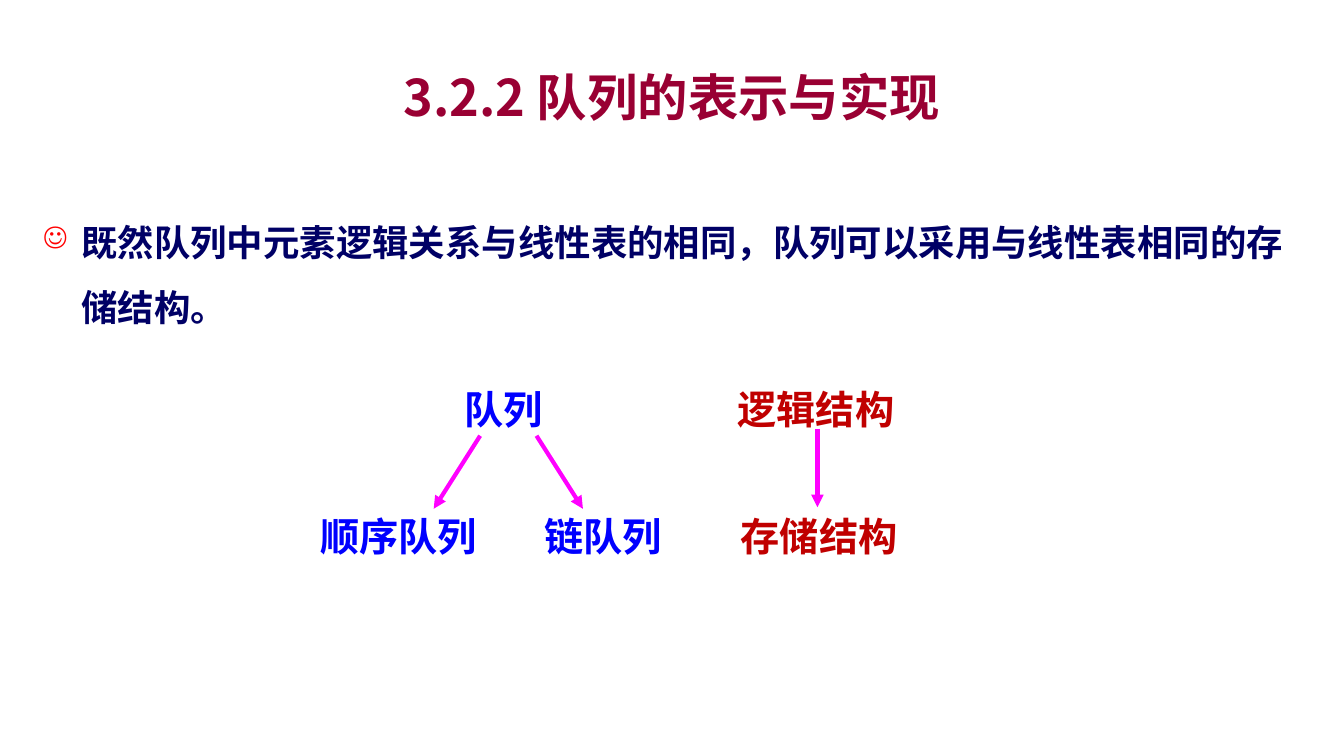
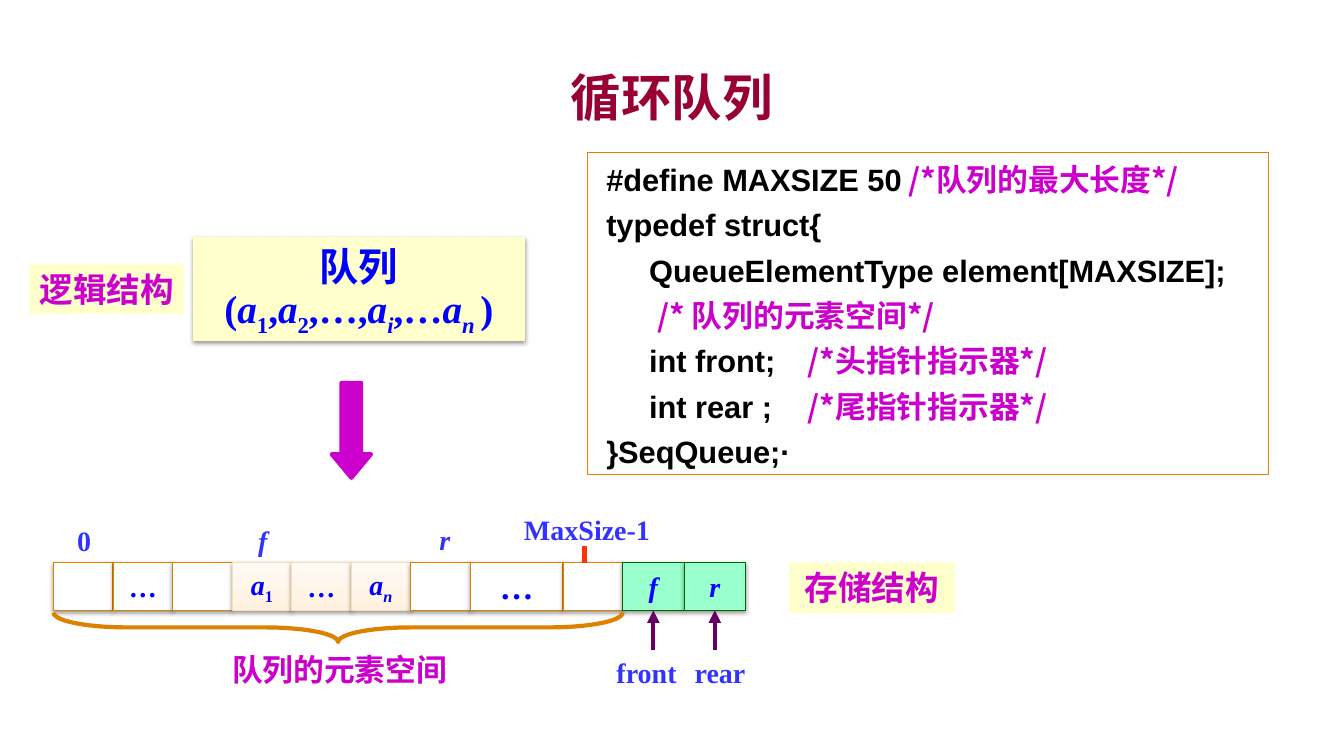
from itertools import accumulate

from lxml.etree import SubElement
from pptx import Presentation
from pptx.dml.color import RGBColor
from pptx.enum.shapes import MSO_CONNECTOR, MSO_SHAPE
from pptx.enum.text import MSO_ANCHOR, PP_ALIGN
from pptx.oxml.ns import qn
from pptx.util import Cm, Pt

COLORS = {
    "title": "990033", "body": "000066", "bullet": "FF0000", "blue": "0000FF",
    "label": "3333FF", "red": "C00000", "magenta": "FF00FF", "purple": "CC00CC",
    "black": "000000", "white": "FFFFFF", "cream": "FFFFCC", "orange": "DC8200",
    "peach": "FBDDB2", "peach_dark": "FFF1DF", "peach_light": "FFFBF6",
    "mint": "99FFCC", "green": "006600", "tick": "FF3300", "plum": "660066",
}
CJK, SERIF, SANS = "Noto Sans CJK SC", "Times New Roman", "Arial"
CENTER, LEFT = PP_ALIGN.CENTER, PP_ALIGN.LEFT

STRUCTURE_TITLE = "3.2.2 队列的表示与实现"
STRUCTURE_BODY = "既然队列中元素逻辑关系与线性表的相同，队列可以采用与线性表相同的存储结构。"
STRUCTURE_LABELS = [
    ("队列", (11.3, 9.58, 2.77, 1.45), "blue", CENTER),
    ("顺序队列", (7.82, 12.78, 5.38, 1.45), "blue", LEFT),
    ("链队列", (13.2, 12.78, 4, 1.45), "blue", CENTER),
    ("逻辑结构", (18.34, 9.58, 5.03, 1.45), "red", LEFT),
    ("存储结构", (18.42, 12.78, 5.38, 1.45), "red", LEFT),
]
STRUCTURE_ARROWS = [
    ((12.1, 10.98), (10.93, 12.82)),
    ((13.52, 10.98), (14.69, 12.82)),
    ((20.6, 10.8), (20.6, 12.78)),
]

QUEUE_TITLE = "循环队列"
QUEUE_LINES = [
    [("队列", "")],
    [("(", ""), ("a", "i"), ("1", "s"), (",", ""), ("a", "i"), ("2", "s"),
     (",…,", ""), ("a", "i"), ("i", "is"), (",…", ""), ("a", "i"),
     ("n ", "is"), (")", "")],
]
TAGS = [
    ("逻辑结构", (0.74, 6.65, 3.91, 1.27)),
    ("存储结构", (19.89, 14.17, 4.17, 1.27)),
]
CELLS = [
    (1.5, "plain", 20, []),
    (1.5, "plain", 20, [("…", "")]),
    (1.5, "plain", 20, []),
    (1.5, "used", 20, [("a", "i"), ("1", "s")]),
    (1.5, "used", 20, [("…", "")]),
    (1.5, "used", 20, [("a", "i"), ("n", "is")]),
    (1.5, "plain", 20, []),
    (2.34, "plain", 24, [("…", "")]),
    (1.5, "plain", 20, []),
    (1.55, "pointer", 20, [("f", "i")]),
    (1.55, "pointer", 20, [("r", "i")]),
]
CELL_LOOKS = {"plain": ("white", "orange"), "used": (None, "peach"), "pointer": ("mint", "green")}
ROW_LEFT, ROW_TOP, ROW_HEIGHT = 1.35, 14.18, 1.2
ELEMENT_COUNT = 9
QUEUE_LABELS = [
    ("0", "", (1.42, 13.06, 1.4, 1.1)),
    ("f", "i", (5.92, 13.06, 1.4, 1.1)),
    ("r", "i", (10.31, 13.04, 1.8, 1.1)),
    ("MaxSize-1", "", (12.7, 12.78, 4.19, 1.1)),
    ("front", "", (15.19, 16.38, 2.21, 1.1)),
    ("rear", "", (17.04, 16.38, 2.21, 1.1)),
]
CODE = [
    (0, "#define MAXSIZE 50", "/*队列的最大长度*/", 7.89),
    (0, "typedef struct{", "", 0),
    (1.08, "QueueElementType element[MAXSIZE];", "", 0),
    (1.29, "", "/* 队列的元素空间*/", 0),
    (1.08, "int front;", "/*头指针指示器*/", 5.12),
    (1.08, "int rear ;", "/*尾指针指示器*/", 5.12),
    (0, "}SeqQueue;·", "", 0),
]


def rgb(name):
    return RGBColor.from_string(COLORS[name])


def place(box):
    return [Cm(value) for value in box]


def set_font(target, name, size, color, italic=False):
    font = target.font
    font.name, font.size, font.bold, font.italic = name, Pt(size), True, italic
    font.color.rgb = rgb(color)
    east = SubElement(font._rPr, qn("a:ea"))
    east.set("typeface", CJK)
    font._rPr.find(qn("a:latin")).addnext(east)


def write(para, spans, name, size, color, align=CENTER):
    para.alignment = align
    for text, marks in spans:
        span = para.add_run()
        span.text = text
        if len(spans) > 1:
            set_font(span, name, size, color, "i" in marks)
        if "s" in marks:
            span.font._rPr.set("baseline", "-25000")
    if len(spans) == 1:
        set_font(para, name, size, color, "i" in spans[0][1])


def add_label(page, text, box, name, size, color, align=CENTER, marks=""):
    frame = page.shapes.add_textbox(*place(box)).text_frame
    frame.word_wrap = True
    frame.vertical_anchor = MSO_ANCHOR.MIDDLE
    write(frame.paragraphs[0], [(text, marks)], name, size, color, align)


def add_page(deck, title):
    page = deck.slides.add_slide(deck.slide_layouts[6])
    add_label(page, title, (2.54, 1.47, 28.78, 1.91), CJK, 36, "title")
    return page


def add_block(page, kind, box, fill=None, line=None, width=0.75, shadow=False):
    block = page.shapes.add_shape(kind, *place(box))
    block.shadow.inherit = False
    if fill:
        block.fill.solid()
        block.fill.fore_color.rgb = rgb(fill)
    else:
        block.fill.background()
    if line:
        block.line.color.rgb = rgb(line)
        block.line.width = Pt(width)
    else:
        block.line.fill.background()
    if shadow:
        effects = block._element.spPr.find(qn("a:effectLst"))
        outer = SubElement(effects, qn("a:outerShdw"), blurRad="40000", dist="20000",
                           dir="5400000", rotWithShape="0")
        tint = SubElement(outer, qn("a:srgbClr"), val=COLORS["black"])
        SubElement(tint, qn("a:alpha"), val="38000")
    block.text_frame.word_wrap = False
    block.text_frame.vertical_anchor = MSO_ANCHOR.MIDDLE
    return block


def add_line(page, start, end, color, arrow=True):
    line = page.shapes.add_connector(MSO_CONNECTOR.STRAIGHT, *place(start + end))
    line.line.color.rgb = rgb(color)
    line.line.width = Pt(3)
    if arrow:
        SubElement(line.line._get_or_add_ln(), qn("a:tailEnd"), type="triangle")
    SubElement(line._element.spPr, qn("a:effectLst"))
    return line


def add_bullet_text(page):
    frame = page.shapes.add_textbox(*place((0.84, 4.88, 31.9, 13.34))).text_frame
    frame.word_wrap = True
    para = frame.paragraphs[0]
    props = para._p.get_or_add_pPr()
    props.set("marL", str(Cm(0.96)))
    props.set("indent", str(-Cm(0.96)))
    SubElement(SubElement(props, qn("a:buClr")), qn("a:srgbClr"), val=COLORS["bullet"])
    SubElement(props, qn("a:buSzPct"), val="80000")
    SubElement(props, qn("a:buChar"), char="☺")
    para.line_spacing = Pt(46.4)
    write(para, [(STRUCTURE_BODY, "")], CJK, 26, "body", LEFT)


def add_code(page):
    block = add_block(page, MSO_SHAPE.RECTANGLE, (14.81, 3.84, 17.15, 8.13), line="orange")
    frame = block.text_frame
    frame.word_wrap = True
    frame.vertical_anchor = MSO_ANCHOR.TOP
    frame.margin_left, frame.margin_top, frame.margin_bottom = Cm(0.47), 0, 0
    for index, (indent, code, comment, stop) in enumerate(CODE):
        para = frame.add_paragraph() if index else frame.paragraphs[0]
        para.line_spacing = Pt(32.4)
        props = para._p.get_or_add_pPr()
        props.set("marL", "0")
        props.set("indent", str(Cm(indent)))
        if stop:
            tabs = SubElement(props, qn("a:tabLst"))
            SubElement(tabs, qn("a:tab"), pos=str(Cm(stop)), algn="l")
        para.alignment = LEFT
        parts = [(code + ("\t" if stop else ""), SANS, "black"), (comment, CJK, "purple")]
        for text, name, color in parts:
            if text:
                span = para.add_run()
                span.text = text
                set_font(span, name, 22, color)


def add_cells(page):
    widths = [cell[0] for cell in CELLS]
    lefts = accumulate(widths[:-1], initial=ROW_LEFT)
    cells = []
    for left, (width, look, size, spans) in zip(lefts, CELLS):
        fill, line = CELL_LOOKS[look]
        cell = add_block(page, MSO_SHAPE.RECTANGLE, (left, ROW_TOP, width, ROW_HEIGHT),
                         fill, line, shadow=True)
        if not fill:
            cell.fill.gradient()
            cell.fill.gradient_angle = 90
            for stop, color in zip(cell.fill.gradient_stops, ("peach_dark", "peach_light")):
                stop.color.rgb = rgb(color)
        if spans:
            write(cell.text_frame.paragraphs[0], spans, SERIF, size, "blue")
        cells.append(cell)
    return cells


def add_brace(page):
    length, depth, top = sum(cell[0] for cell in CELLS[:ELEMENT_COUNT]), 0.74, 15.44
    left = ROW_LEFT + (length - depth) / 2
    brace = add_block(page, MSO_SHAPE.RIGHT_BRACE,
                      (left, top - (length - depth) / 2, depth, length), None, "orange", 3)
    brace.rotation = 90
    brace.adjustments[0], brace.adjustments[1] = 2.49, 0.5
    add_label(page, "队列的元素空间", (4.65, 16.28, 7.82, 1.19), CJK, 22, "purple")


def build_structure(deck):
    page = add_page(deck, STRUCTURE_TITLE)
    add_bullet_text(page)
    for text, box, color, align in STRUCTURE_LABELS:
        add_label(page, text, box, SERIF, 28, color, align)
    for start, end in STRUCTURE_ARROWS:
        add_line(page, start, end, "magenta")


def build_queue(deck):
    page = add_page(deck, QUEUE_TITLE)
    queue = add_block(page, MSO_SHAPE.RECTANGLE, (4.88, 5.99, 8.33, 2.59),
                      "cream", "cream", shadow=True)
    for index, spans in enumerate(QUEUE_LINES):
        frame = queue.text_frame
        para = frame.add_paragraph() if index else frame.paragraphs[0]
        para.line_spacing = Pt(35)
        write(para, spans, SERIF, 28, "blue")
    arrow = add_block(page, MSO_SHAPE.DOWN_ARROW, (8.36, 9.65, 0.99, 2.39),
                      "purple", "purple", 3)
    arrow.adjustments[0], arrow.adjustments[1] = 0.5, 0.6
    for text, box in TAGS:
        tag = add_block(page, MSO_SHAPE.RECTANGLE, box, "cream")
        write(tag.text_frame.paragraphs[0], [(text, "")], SERIF, 24, "purple")
    cells = add_cells(page)
    add_brace(page)
    for text, marks, box in QUEUE_LABELS:
        add_label(page, text, box, SERIF, 20, "label", marks=marks)
    add_line(page, (14.73, 13.77), (14.73, ROW_TOP), "tick", arrow=False)
    for cell in cells[ELEMENT_COUNT:]:
        middle = (cell.left + cell.width / 2) / Cm(1)
        pointer = add_line(page, (middle, 16.38), (middle, ROW_TOP + ROW_HEIGHT), "plum")
        pointer.end_connect(cell, 2)
    add_code(page)


def main():
    deck = Presentation()
    deck.slide_width, deck.slide_height = Cm(33.87), Cm(19.05)
    build_structure(deck)
    build_queue(deck)
    deck.save("out.pptx")


if __name__ == "__main__":
    main()
